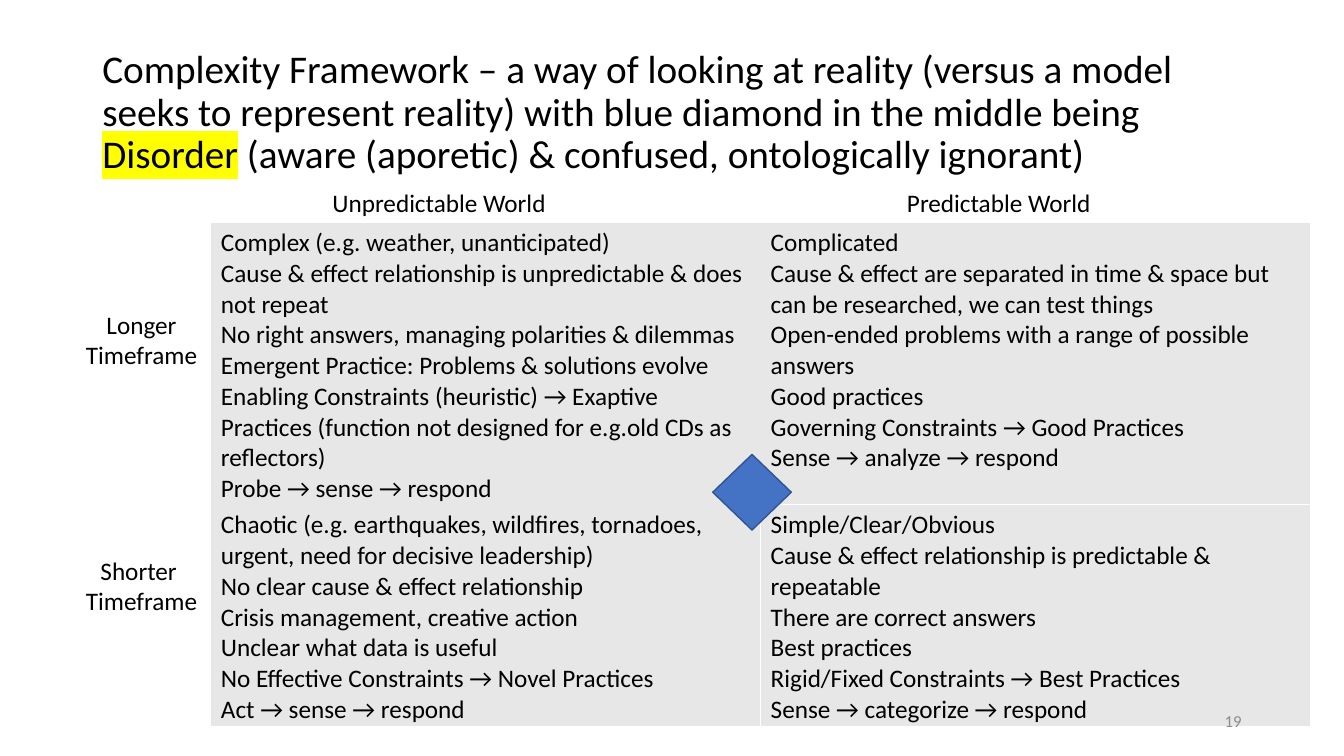
from lxml.etree import SubElement
from pptx import Presentation
from pptx.dml.color import RGBColor as RGB
from pptx.enum.shapes import MSO_SHAPE as Shape
from pptx.enum.text import MSO_ANCHOR as Anchor, PP_ALIGN as Align
from pptx.oxml.ns import qn
from pptx.util import Inches, Pt

BLACK = RGB(0x00, 0x00, 0x00)
WHITE = RGB(0xFF, 0xFF, 0xFF)
YELLOW = RGB(0xFF, 0xFF, 0x00)
PALE = RGB(0xE7, 0xE7, 0xE7)
GREY = RGB(0x8C, 0x8C, 0x8C)
BLUE = RGB(0x44, 0x72, 0xC4)
NAVY = RGB(0x32, 0x54, 0x91)

TITLE = [
    ("Complexity Framework – a way of looking at reality (versus a model seeks to "
     "represent reality) with blue diamond in the middle being ", None),
    ("Disorder", YELLOW),
    (" (aware (aporetic) & confused, ontologically ignorant)", None),
]
COMPLEX = [
    "Complex (e.g. weather, unanticipated)",
    "Cause & effect relationship is unpredictable & does not repeat",
    "No right answers, managing polarities & dilemmas",
    "Emergent Practice: Problems & solutions evolve",
    "Enabling Constraints (heuristic) → Exaptive Practices "
    "(function not designed for e.g.old CDs as reflectors)",
    "Probe → sense → respond",
]
COMPLICATED = [
    "Complicated",
    "Cause & effect are separated in time & space but can be researched, we can test things",
    "Open-ended problems with a range of possible answers",
    "Good practices",
    "Governing Constraints → Good Practices",
    "Sense → analyze → respond",
]
CHAOTIC = [
    "Chaotic (e.g. earthquakes, wildfires, tornadoes, urgent, need for decisive leadership)",
    "No clear cause & effect relationship",
    "Crisis management, creative action",
    "Unclear what data is useful",
    "No Effective Constraints → Novel Practices",
    "Act → sense → respond",
]
OBVIOUS = [
    "Simple/Clear/Obvious",
    "Cause & effect relationship is predictable & repeatable",
    "There are correct answers",
    "Best practices",
    "Rigid/Fixed Constraints → Best Practices",
    "Sense → categorize → respond",
]
QUADRANTS = [[COMPLEX, COMPLICATED], [CHAOTIC, OBVIOUS]]
BORDERS = [["", "RTB"], ["LRB", "LRTB"]]


def write(tf, paragraphs, size=18, color=BLACK, font="Calibri", align=Align.LEFT, spacing=None):
    for i, runs in enumerate(paragraphs):
        p = tf.paragraphs[0] if i == 0 else tf.add_paragraph()
        p.alignment = align
        if spacing:
            p.line_spacing = spacing
        for text, highlight in [(runs, None)] if isinstance(runs, str) else runs:
            r = p.add_run()
            r.text = text
            r.font.size, r.font.name = Pt(size), font
            r.font.color.rgb = color
            if highlight:
                rPr = r.font._element
                mark = SubElement(rPr, qn("a:highlight"))
                SubElement(mark, qn("a:srgbClr"), val=str(highlight))
                rPr.find(qn("a:solidFill")).addnext(mark)


class GridSlide:
    COLS, ROWS = 32, 18

    def __init__(self, prs):
        self.slide = prs.slides.add_slide(prs.slide_layouts[6])
        self.col = prs.slide_width / self.COLS
        self.row = prs.slide_height / self.ROWS

    def box(self, x, y, w, h):
        return [round(n) for n in (x * self.col, y * self.row, w * self.col, h * self.row)]

    def text(self, at, paragraphs, anchor=Anchor.TOP, **fmt):
        tf = self.slide.shapes.add_textbox(*self.box(*at)).text_frame
        tf.word_wrap = True
        tf.vertical_anchor = anchor
        write(tf, paragraphs, **fmt)

    def table(self, at, content, heights, borders):
        rows, cols = len(content), len(content[0])
        table = self.slide.shapes.add_table(rows, cols, *self.box(*at)).table
        table.first_row = table.horz_banding = False
        for i, height in enumerate(heights):
            table.rows[i].height = round(height * self.row)
            for j in range(cols):
                cell = table.cell(i, j)
                cell.fill.solid()
                cell.fill.fore_color.rgb = PALE
                write(cell.text_frame, content[i][j])
                self.border(cell, borders[i][j])

    def border(self, cell, sides):
        tcPr = cell._tc.get_or_add_tcPr()
        for i, side in enumerate("LRTB"):
            ln = SubElement(tcPr, qn(f"a:ln{side}"), w=str(Pt(1)))
            if side in sides:
                SubElement(SubElement(ln, qn("a:solidFill")), qn("a:srgbClr"), val=str(WHITE))
            else:
                SubElement(ln, qn("a:noFill"))
            tcPr.insert(i, ln)

    def shape(self, at, kind, fill, line):
        sp = self.slide.shapes.add_shape(kind, *self.box(*at))
        sp.shadow.inherit = False
        sp.fill.solid()
        sp.fill.fore_color.rgb = fill
        sp.line.color.rgb = line
        sp.line.width = Pt(1)


def main():
    prs = Presentation()
    prs.slide_width, prs.slide_height = Inches(13.33), Inches(7.5)
    s = GridSlide(prs)
    s.text((2.2, 0.96, 27.6, 3.48), [TITLE], Anchor.MIDDLE, size=28, spacing=0.9)
    s.table((5.02, 5.3, 26.18, 11.07), QUADRANTS, (5.93, 5.14), BORDERS)
    for x, w, world in [(7.68, 5.62, "Unpredictable World"), (21.36, 5.02, "Predictable World")]:
        s.text((x, 4.34, w, 0.96), [world])
    for y, timeframe in [(7.25, ["Longer Timeframe"]), (13.1, ["Shorter ", "Timeframe"])]:
        s.text((1.7, y, 3.34, 1.7), timeframe, align=Align.CENTER)
    s.shape((16.97, 10.82, 1.87, 1.8), Shape.FLOWCHART_DECISION, BLUE, NAVY)
    s.text((22.6, 16.68, 7.2, 0.96), ["19"], Anchor.MIDDLE,
           size=12, color=GREY, align=Align.RIGHT)
    prs.save("out.pptx")


if __name__ == "__main__":
    main()
